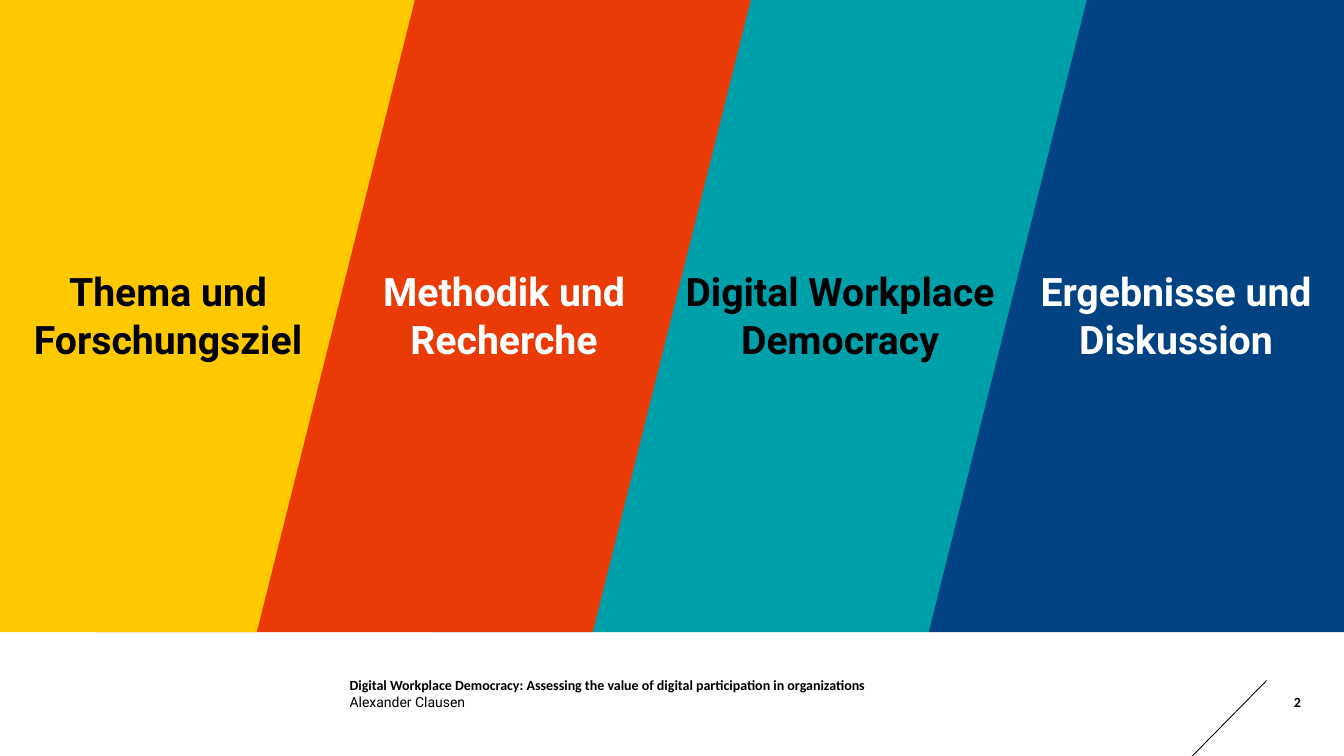
import pptx
import pptx.util
import pptx.dml.color
import pptx.enum.shapes
import pptx.enum.text

SCALE = 9525  # EMU per px, 96 px to the inch
WIDTH, HEIGHT = 1280, 720
COLUMN = WIDTH // 4

BLACK, WHITE = "000000", "FFFFFF"
ALIGN = pptx.enum.text.PP_ALIGN
ANCHOR = pptx.enum.text.MSO_ANCHOR

# Heading, text colour, band colour, left edge of the band
TOPICS = [
    ("Thema und Forschungsziel", BLACK, "FFC900", -228),
    ("Methodik und Recherche", WHITE, "EA3B07", 92),
    ("Digital Workplace Democracy", BLACK, "00A0AA", 412),
    ("Ergebnisse und Diskussion", WHITE, "004282", 883),
]


def px(size):
    return pptx.util.Emu(size * SCALE)


def color(code):
    return pptx.dml.color.RGBColor.from_string(code)


def slant(slide, left, top, width, height, fill, skew=0.25):
    kind = pptx.enum.shapes.MSO_SHAPE.PARALLELOGRAM
    shape = slide.shapes.add_shape(kind, px(left), px(top), px(width), px(height))
    shape.adjustments[0] = skew
    shape.shadow.inherit = False
    shape.fill.solid()
    shape.fill.fore_color.rgb = color(fill)
    shape.line.fill.background()


def label(slide, text, left, top, width, height, size=10, font="Roboto",
          ink=BLACK, bold=False, align=ALIGN.LEFT, anchor=ANCHOR.MIDDLE):
    box = slide.shapes.add_textbox(px(left), px(top), px(width), px(height))
    frame = box.text_frame
    frame.word_wrap = True
    frame.auto_size = pptx.enum.text.MSO_AUTO_SIZE.SHAPE_TO_FIT_TEXT
    frame.vertical_anchor = anchor
    frame.margin_left = frame.margin_right = 0
    frame.margin_top = frame.margin_bottom = 0
    line = frame.paragraphs[0]
    line.alignment = align
    run = line.add_run()
    run.text = text
    run.font.name = font
    run.font.size = pptx.util.Pt(size)
    run.font.bold = bold
    run.font.color.rgb = color(ink)


def footer(slide):
    label(slide, "Alexander Clausen", 333, 660, 611, 16)
    label(slide, "Digital Workplace Democracy: Assessing the value of "
          "digital participation in organizations",
          333, 644, 611, 16, font="Calibri", bold=True)
    label(slide, "2", 1185, 660, 54, 16, font="Calibri", bold=True,
          align=ALIGN.RIGHT)


def main():
    deck = pptx.Presentation()
    deck.slide_width, deck.slide_height = px(WIDTH), px(HEIGHT)
    slide = deck.slides.add_slide(deck.slide_layouts[6])

    # Thin diagonal beside the page number
    slant(slide, 1135, 648, 72, 72, BLACK, skew=0.984)

    # Bands from right to left, each covering the edge of the one before
    for _, _, fill, left in reversed(TOPICS):
        slant(slide, left, 0, 623, 602, fill)

    footer(slide)

    # One heading per column
    for i, (text, ink, _, _) in enumerate(TOPICS):
        label(slide, text, i * COLUMN, 255, COLUMN, 90, size=28, ink=ink,
              bold=True, align=ALIGN.CENTER, anchor=ANCHOR.TOP)

    deck.save("out.pptx")


if __name__ == "__main__":
    main()
